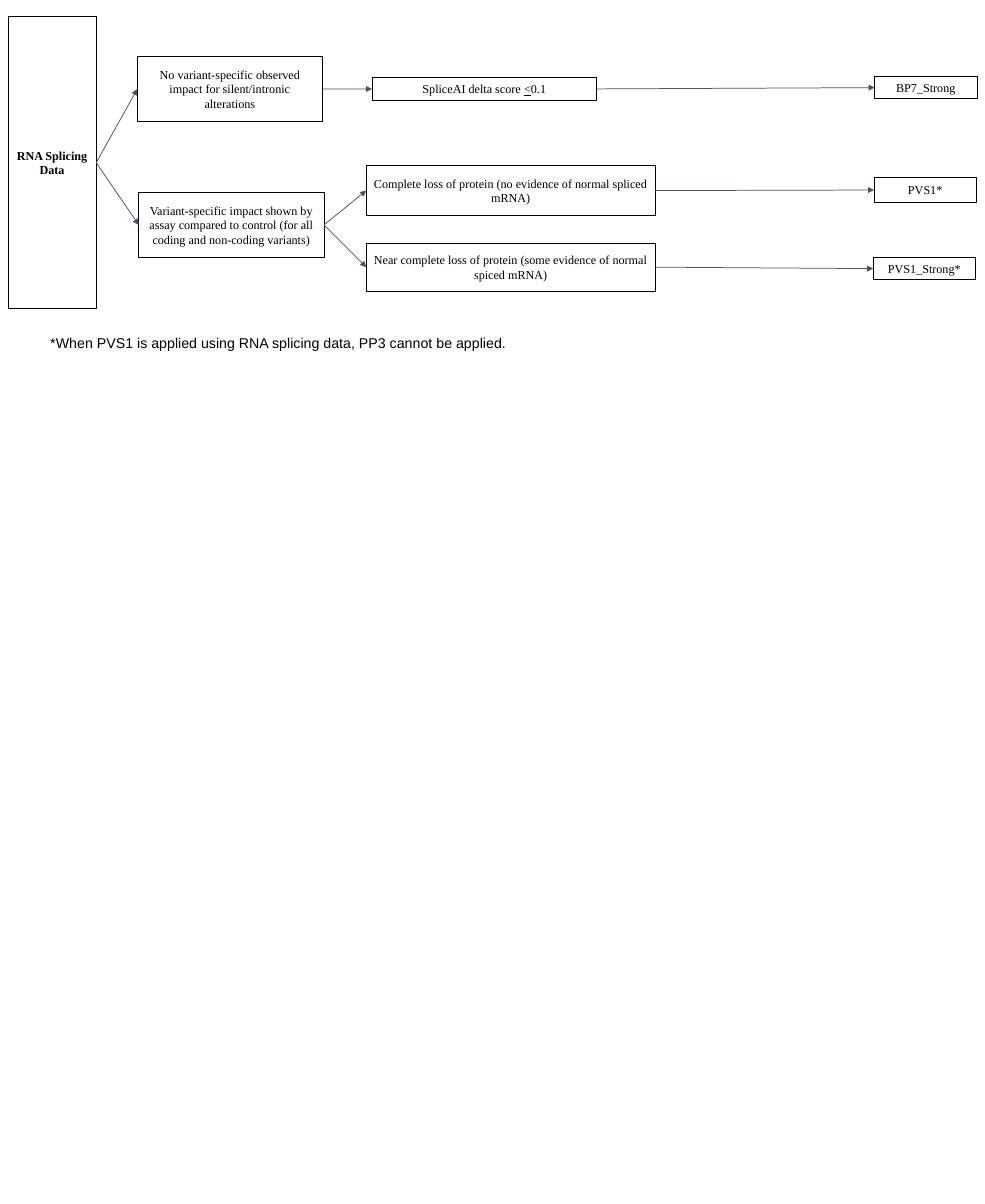
from lxml import etree
from pptx import Presentation
from pptx.dml.color import RGBColor
from pptx.enum.shapes import MSO_CONNECTOR, MSO_SHAPE
from pptx.enum.text import MSO_ANCHOR, PP_ALIGN
from pptx.oxml.ns import qn
from pptx.util import Cm, Pt

RECT = MSO_SHAPE.RECTANGLE
STRAIGHT = MSO_CONNECTOR.STRAIGHT
MIDDLE = MSO_ANCHOR.MIDDLE
CENTER = PP_ALIGN.CENTER
BLACK = RGBColor(0x00, 0x00, 0x00)
SLATE = RGBColor(0x44, 0x54, 0x6A)
LEFT, RIGHT = 1, 3


class Chart:
    serif = "Times New Roman"
    sans = "Arial"
    thin = Pt(0.75)

    def __init__(self, slide):
        self.shapes = slide.shapes

    def style(self, para, face, size, bold=False):
        font = para.font
        font.name, font.size, font.bold = face, Pt(size), bold
        font.color.rgb = BLACK

    def box(self, x, y, w, h, *parts, bold=False):
        """Add a framed box; every second text part is underlined."""
        shape = self.shapes.add_shape(RECT, Cm(x), Cm(y), Cm(w), Cm(h))
        shape.shadow.inherit = False
        shape.fill.background()
        shape.line.color.rgb = BLACK
        shape.line.width = self.thin
        frame = shape.text_frame
        frame.word_wrap = True
        frame.vertical_anchor = MIDDLE
        para = frame.paragraphs[0]
        para.alignment = CENTER
        for i, part in enumerate(parts):
            run = para.add_run()
            run.text = part
            if i % 2:
                run.font.underline = True
        self.style(para, self.serif, 12, bold)
        return shape

    def arrow(self, start, end):
        """Join the right side of start to the left side of end."""
        link = self.shapes.add_connector(STRAIGHT, 0, 0, 0, 0)
        link.begin_connect(start, RIGHT)
        link.end_connect(end, LEFT)
        link.line.color.rgb = SLATE
        link.line.width = self.thin
        props = link._element.spPr
        etree.SubElement(props.find(qn("a:ln")), qn("a:tailEnd"), type="triangle")
        etree.SubElement(props, qn("a:effectLst"))

    def note(self, x, y, w, h, text):
        frame = self.shapes.add_textbox(Cm(x), Cm(y), Cm(w), Cm(h)).text_frame
        frame.word_wrap = True
        para = frame.paragraphs[0]
        para.text = text
        self.style(para, self.sans, 14)


def main():
    deck = Presentation()
    deck.slide_width, deck.slide_height = Cm(34.29), Cm(41.91)
    chart = Chart(deck.slides.add_slide(deck.slide_layouts[6]))

    data = chart.box(0.28, 0.58, 3.07, 10.16, "RNA Splicing Data", bold=True)
    silent = chart.box(4.78, 1.98, 6.45, 2.24,
                       "No variant-specific observed impact for silent/intronic alterations")
    impact = chart.box(4.83, 6.71, 6.45, 2.24,
                       "Variant-specific impact shown by assay compared to control "
                       "(for all coding and non-coding variants)")
    score = chart.box(12.95, 2.69, 7.82, 0.81, "SpliceAI delta score ", "<", "0.1")
    full = chart.box(12.75, 5.77, 10.06, 1.73,
                     "Complete loss of protein (no evidence of normal spliced mRNA)")
    near = chart.box(12.75, 8.46, 10.06, 1.68,
                     "Near complete loss of protein (some evidence of normal spiced mRNA)")
    benign = chart.box(30.45, 2.67, 3.56, 0.76, "BP7_Strong")
    very = chart.box(30.43, 6.17, 3.56, 0.89, "PVS1*")
    strong = chart.box(30.4, 8.97, 3.56, 0.76, "PVS1_Strong*")

    for start, end in [(data, silent), (data, impact), (silent, score),
                       (impact, full), (impact, near), (full, very),
                       (score, benign), (near, strong)]:
        chart.arrow(start, end)

    chart.note(1.5, 11.53, 31.88, 0.86,
               "*When PVS1 is applied using RNA splicing data, PP3 cannot be applied.")
    deck.save("out.pptx")


if __name__ == "__main__":
    main()
